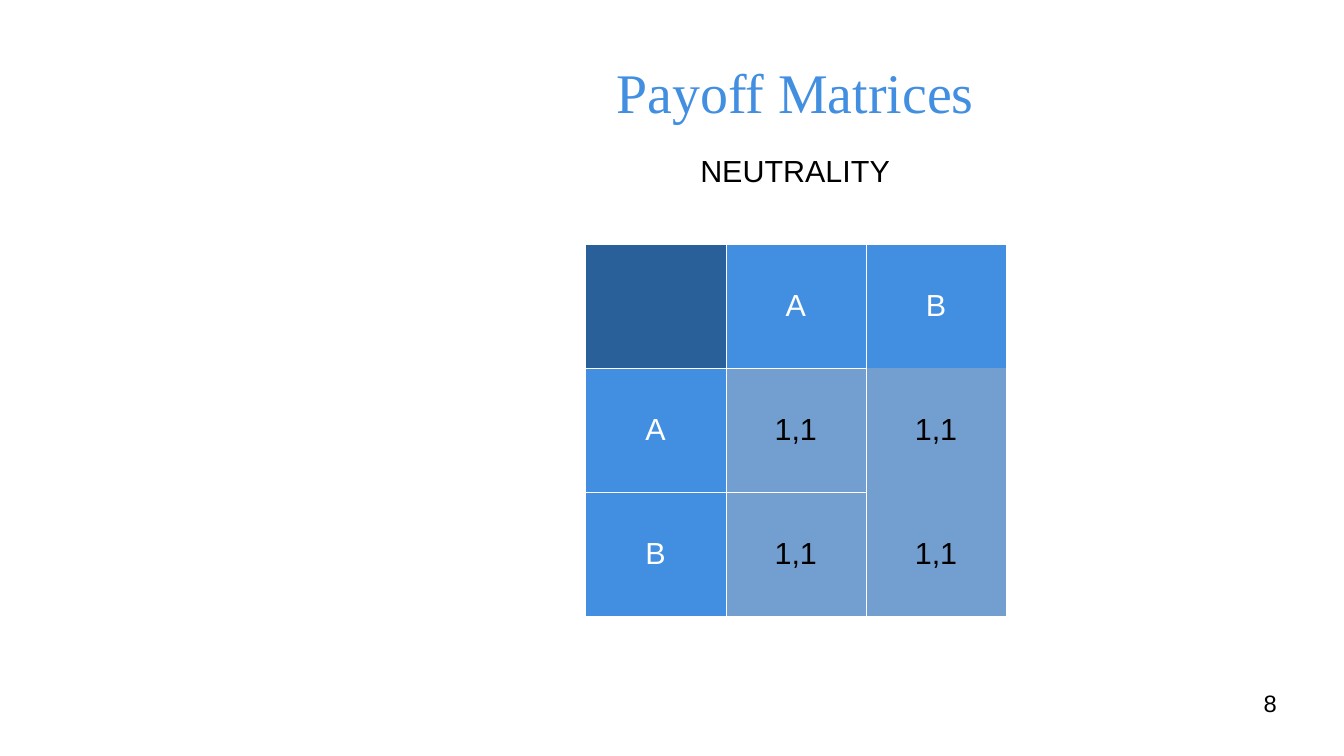
import pptx
import pptx.util
import pptx.dml.color
import pptx.enum.text
import pptx.oxml
import pptx.oxml.ns

Inches = pptx.util.Inches
RGBColor = pptx.dml.color.RGBColor
ALIGN = pptx.enum.text.PP_ALIGN
ANCHOR = pptx.enum.text.MSO_ANCHOR

BLUE = RGBColor(0x42, 0x8F, 0xE1)
NAVY = RGBColor(0x2A, 0x60, 0x99)
PALE = RGBColor(0x72, 0x9F, 0xCF)
WHITE = RGBColor(0xFF, 0xFF, 0xFF)
BLACK = RGBColor(0, 0, 0)


def put_text(frame, text, size, color, align=ALIGN.CENTER, font="Arial"):
    frame.text = text
    para = frame.paragraphs[0]
    para.alignment = align
    para.font.size = pptx.util.Pt(size)
    for run in para.runs:
        run.font.size = pptx.util.Pt(size)
        run.font.name = font
        run.font.color.rgb = color


def add_edge(cell, side, shown):
    fill = f'<a:solidFill><a:srgbClr val="{WHITE}"/></a:solidFill>' if shown else "<a:noFill/>"
    cell.fill.background()
    props = cell.fill._xPr
    line = pptx.oxml.parse_xml(
        f'<a:ln{side} {pptx.oxml.ns.nsdecls("a")} w="762">{fill}</a:ln{side}>')
    props.insert(len(props) - 1, line)


deck = pptx.Presentation()
deck.slide_width = Inches(11.02)
deck.slide_height = Inches(6.2)
slide = deck.slides.add_slide(deck.slide_layouts[5])

# Title
title = slide.shapes.title
title.left, title.top = Inches(2.02), Inches(0.24)
title.width, title.height = Inches(9), Inches(1.02)
frame = title.text_frame
frame.margin_left = frame.margin_right = frame.margin_top = frame.margin_bottom = 0
frame.vertical_anchor = ANCHOR.MIDDLE
put_text(frame, "Payoff Matrices", 33, BLUE, font="Times New Roman")

# Payoff table
rows = [["", "A", "B"], ["A", "1,1", "1,1"], ["B", "1,1", "1,1"]]
grid = slide.shapes.add_table(
    3, 3, Inches(4.8), Inches(2), Inches(3.45), Inches(3.05)).table
grid.first_row = grid.horz_banding = False
for r, row in enumerate(rows):
    for c, text in enumerate(row):
        cell = grid.cell(r, c)
        head = r == 0 or c == 0
        put_text(cell.text_frame, text, 18, WHITE if head else BLACK)
        cell.vertical_anchor = ANCHOR.MIDDLE
        # The last column has no lines between its rows
        add_edge(cell, "L", True)
        add_edge(cell, "R", True)
        add_edge(cell, "T", c < 2 or r == 0)
        add_edge(cell, "B", c < 2 or r == 2)
        cell.fill.solid()
        cell.fill.fore_color.rgb = NAVY if r == c == 0 else BLUE if head else PALE

# Subtitle
label = slide.shapes.add_textbox(Inches(2.02), Inches(1.2), Inches(9), Inches(0.38))
label.text_frame.word_wrap = True
put_text(label.text_frame, "NEUTRALITY", 18, BLACK)

# Page number
page = slide.shapes.add_textbox(Inches(7.9), Inches(5.65), Inches(2.57), Inches(0.43))
frame = page.text_frame
frame.word_wrap = True
frame.margin_left = frame.margin_right = frame.margin_top = frame.margin_bottom = 0
put_text(frame, "8", 14, BLACK, ALIGN.RIGHT)

deck.save("out.pptx")
